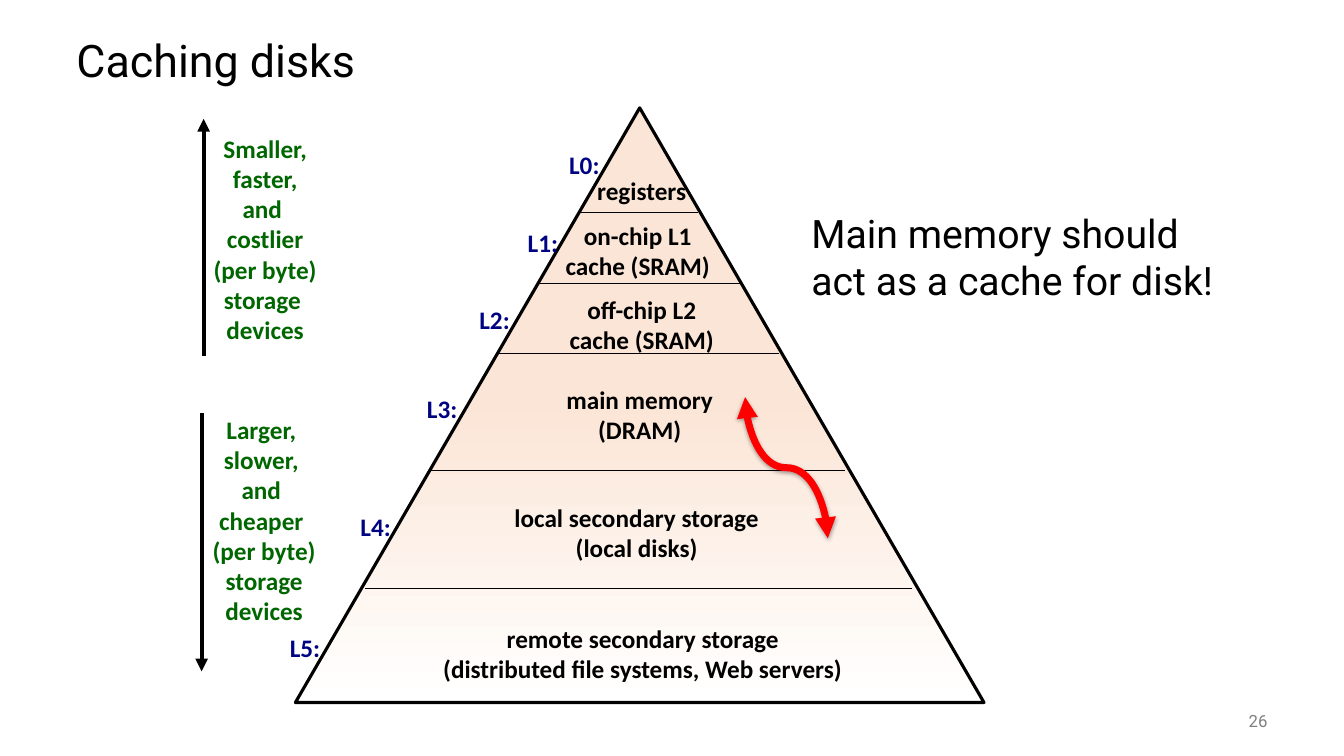
from copy import deepcopy
from dataclasses import dataclass

from lxml import etree
from pptx import Presentation
from pptx.dml.color import RGBColor
from pptx.enum.shapes import MSO_CONNECTOR, MSO_SHAPE
from pptx.enum.text import MSO_ANCHOR, MSO_AUTO_SIZE, PP_ALIGN
from pptx.oxml.ns import qn
from pptx.shapes.connector import Connector
from pptx.slide import Slide
from pptx.util import Inches, Pt

BLACK = RGBColor(0x00, 0x00, 0x00)
WHITE = RGBColor(0xFF, 0xFF, 0xFF)
PEACH = RGBColor(0xFB, 0xE5, 0xD6)
GREEN = RGBColor(0x00, 0x66, 0x00)
NAVY = RGBColor(0x00, 0x04, 0x82)
RED = RGBColor(0xFF, 0x00, 0x00)
GRAY = RGBColor(0x80, 0x80, 0x80)

LEFT, CENTER, RIGHT = PP_ALIGN.LEFT, PP_ALIGN.CENTER, PP_ALIGN.RIGHT
TOP, MIDDLE = MSO_ANCHOR.TOP, MSO_ANCHOR.MIDDLE
STRAIGHT, CURVE = MSO_CONNECTOR.STRAIGHT, MSO_CONNECTOR.CURVE
TRIANGLE = MSO_SHAPE.ISOSCELES_TRIANGLE
GROW, FIXED = MSO_AUTO_SIZE.SHAPE_TO_FIT_TEXT, MSO_AUTO_SIZE.NONE


@dataclass(frozen=True)
class Box:
    left: float
    top: float
    width: float
    height: float


@dataclass(frozen=True)
class Style:
    size: int
    color: RGBColor
    font: str = "Roboto"
    bold: bool = False
    align: PP_ALIGN = LEFT
    anchor: MSO_ANCHOR = MIDDLE
    wrap: bool = True
    fit: MSO_AUTO_SIZE = FIXED
    pitch: float = 1.0


@dataclass(frozen=True)
class Level:
    """One storage level: its tag corner, its text and the text's box."""
    tag_x: float
    tag_y: float
    lines: tuple[str, ...]
    box: Box


@dataclass(frozen=True)
class Trend:
    """A vertical arrow with the words beside it."""
    x: float
    start: float
    end: float
    lines: tuple[str, ...]
    box: Box


@dataclass(frozen=True)
class Rule:
    left: float
    right: float
    y: float


def label(color: RGBColor) -> Style:
    return Style(18, color, "Calibri", True, CENTER, wrap=False, fit=GROW)


TITLE = Style(32, BLACK, pitch=0.9)
NOTE = Style(28, BLACK, anchor=TOP, fit=GROW)
NUMBER = Style(12, GRAY, align=RIGHT)
NAME, TAG, TREND = label(BLACK), label(NAVY), label(GREEN)

LEVELS = (
    Level(5.54, 1.43, ("registers",), Box(5.81, 1.69, 1.11, 0.4)),
    Level(5.13, 2.21, ("on-chip L1", "cache (SRAM)"),
          Box(5.5, 2.13, 1.65, 0.71)),
    Level(4.65, 2.97, ("off-chip L2", "cache (SRAM)"),
          Box(5.54, 2.86, 1.65, 0.71)),
    Level(4.13, 3.85, ("main memory", "(DRAM)"),
          Box(5.51, 3.76, 1.67, 0.71)),
    Level(3.47, 5.02, ("local secondary storage", "(local disks)"),
          Box(4.98, 4.93, 2.67, 0.71)),
    Level(2.77, 6.22, ("remote secondary storage",
                       "(distributed file systems, Web servers)"),
          Box(4.26, 6.13, 4.23, 0.71)),
)
RULES = (
    Rule(5.76, 6.92, 2.11),
    Rule(5.33, 7.35, 2.81),
    Rule(4.94, 7.73, 3.51),
    Rule(4.27, 8.38, 4.67),
    Rule(3.62, 9.05, 5.84),
)
TRENDS = (
    Trend(2.02, 3.53, 1.18,
          ("Smaller,", "faster,", "and ", "costlier", "(per byte)",
           "storage ", "devices"), Box(2.01, 1.26, 1.24, 2.22)),
    Trend(2, 4.1, 6.66,
          ("Larger, ", "slower, ", "and ", "cheaper ", "(per byte)",
           "storage", "devices"), Box(2, 4.05, 1.24, 2.22)),
)


def add_text(slide: Slide, box: Box, lines: tuple[str, ...],
             style: Style) -> None:
    frame = slide.shapes.add_textbox(
        Inches(box.left), Inches(box.top),
        Inches(box.width), Inches(box.height)).text_frame
    frame.word_wrap = style.wrap
    frame.auto_size = style.fit
    frame.vertical_anchor = style.anchor
    for i, line in enumerate(lines):
        para = frame.add_paragraph() if i else frame.paragraphs[0]
        para.alignment = style.align
        para.line_spacing = style.pitch
        run = para.add_run()
        run.text = line
        run.font.name = style.font
        run.font.size = Pt(style.size)
        run.font.bold = style.bold
        run.font.color.rgb = style.color


def add_line(slide: Slide, kind: MSO_CONNECTOR, x1: float, y1: float,
             x2: float, y2: float, color: RGBColor, width: float,
             ends: tuple[str, ...] = ()) -> Connector:
    """Draw a connector; ends names the arrowhead elements it carries."""
    line = slide.shapes.add_connector(
        kind, Inches(x1), Inches(y1), Inches(x2), Inches(y2))
    line.line.color.rgb = color
    line.line.width = Pt(width)
    props = line._element.spPr
    for end in ends:
        etree.SubElement(props.find(qn("a:ln")), qn(end), type="triangle")
    etree.SubElement(props, qn("a:effectLst"))
    return line


def add_pyramid(slide: Slide) -> None:
    shape = slide.shapes.add_shape(
        TRIANGLE, Inches(2.93), Inches(1.07), Inches(6.83), Inches(5.9))
    shape.shadow.inherit = False
    shape.line.color.rgb = BLACK
    shape.line.width = Pt(2.25)
    shape.fill.gradient()
    shape.fill.gradient_angle = 270
    stops = shape._element.spPr.find(".//" + qn("a:gsLst"))
    stops.insert(1, deepcopy(stops[0]))
    tones = ((0, PEACH), (0.49, PEACH), (1, WHITE))
    for stop, (place, color) in zip(shape.fill.gradient_stops, tones):
        stop.position = place
        stop.color.rgb = color


def add_swap(slide: Slide) -> None:
    """Draw the two-way curve between main memory and disk."""
    curve = add_line(slide, CURVE, 8.5, 4.23, 7.1, 5.05, RED, 5,
                     ("a:headEnd", "a:tailEnd"))
    props = curve._element.spPr
    props.find(qn("a:xfrm")).set("rot", str(270 * 60000))
    shadow = etree.SubElement(
        props.find(qn("a:effectLst")), qn("a:outerShdw"),
        blurRad=str(Pt(3.1)), dist=str(Pt(1.6)), dir=str(90 * 60000),
        rotWithShape="0")
    shade = etree.SubElement(shadow, qn("a:srgbClr"), val=str(BLACK))
    etree.SubElement(shade, qn("a:alpha"), val="37000")


def main() -> None:
    deck = Presentation()
    deck.slide_width, deck.slide_height = Inches(13.33), Inches(7.5)
    slide = deck.slides.add_slide(deck.slide_layouts[6])

    add_pyramid(slide)
    add_text(slide, Box(0.66, 0.25, 12, 0.75), ("Caching disks",), TITLE)
    for rule in RULES:
        add_line(slide, STRAIGHT, rule.left, rule.y, rule.right, rule.y,
                 BLACK, 1)
    for i, level in enumerate(LEVELS):
        add_text(slide, level.box, level.lines, NAME)
        add_text(slide, Box(level.tag_x, level.tag_y, 0.51, 0.4),
                 (f"L{i}:",), TAG)
    for trend in TRENDS:
        add_line(slide, STRAIGHT, trend.x, trend.start, trend.x, trend.end,
                 BLACK, 3, ("a:tailEnd",))
        add_text(slide, trend.box, trend.lines, TREND)
    add_text(slide, Box(11.67, 6.95, 1, 0.4), ("26",), NUMBER)
    add_swap(slide)
    add_text(slide, Box(7.95, 2.03, 4.47, 1.04),
             ("Main memory should act as a cache for disk!",), NOTE)
    deck.save("out.pptx")


if __name__ == "__main__":
    main()
